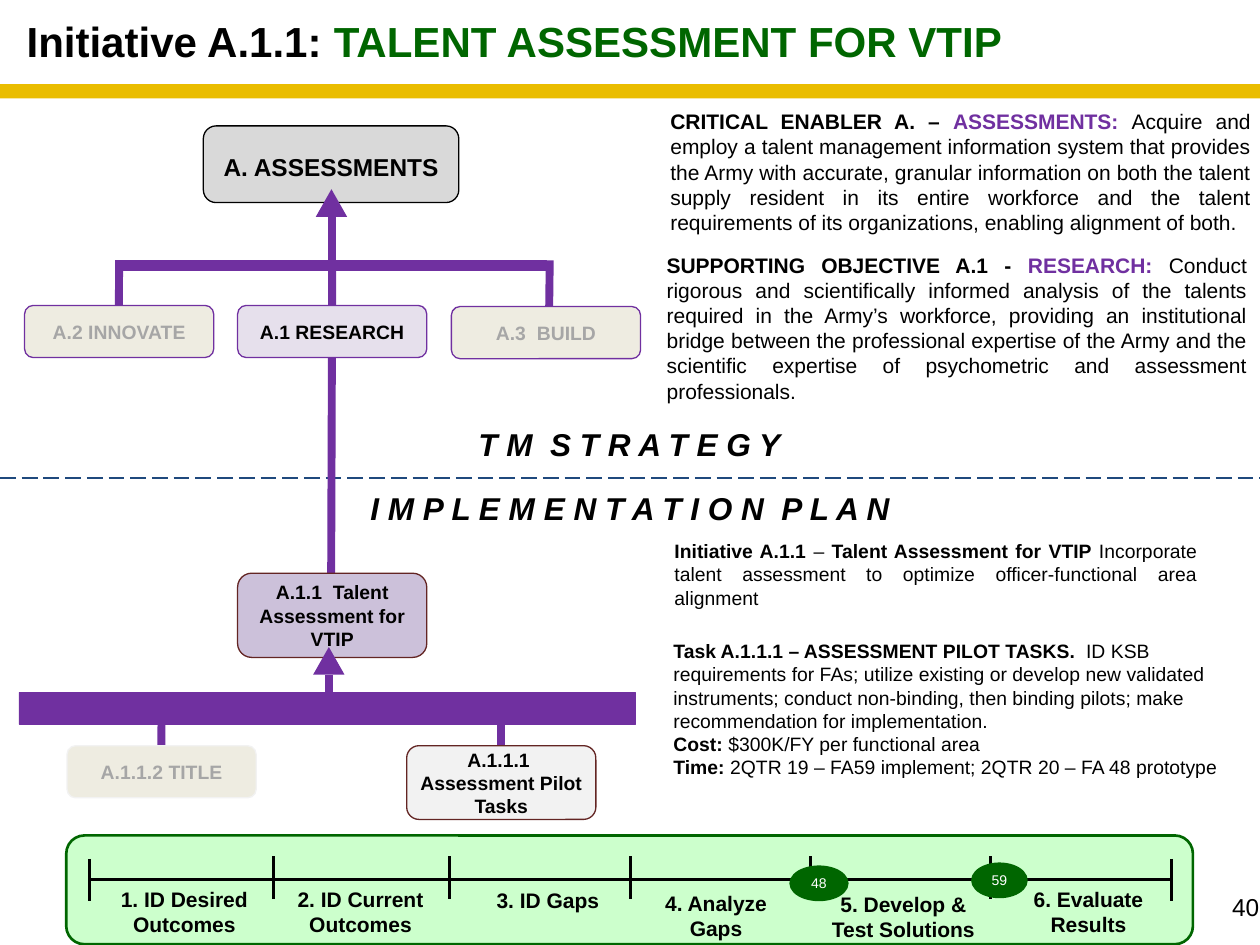
"""Build the talent assessment initiative slide."""
from dataclasses import dataclass

from lxml import etree
from pptx import Presentation
from pptx.dml.color import RGBColor
from pptx.enum.dml import MSO_LINE
from pptx.enum.shapes import MSO_CONNECTOR, MSO_SHAPE
from pptx.enum.text import MSO_ANCHOR, PP_ALIGN
from pptx.oxml.ns import qn
from pptx.util import Cm, Pt

RECT, ROUND = MSO_SHAPE.RECTANGLE, MSO_SHAPE.ROUNDED_RECTANGLE
OVAL, TRIANGLE = MSO_SHAPE.OVAL, MSO_SHAPE.ISOSCELES_TRIANGLE
STRAIGHT, DASH = MSO_CONNECTOR.STRAIGHT, MSO_LINE.LONG_DASH
TOP, MIDDLE = MSO_ANCHOR.TOP, MSO_ANCHOR.MIDDLE
LEFT, CENTER, RIGHT, JUSTIFY = PP_ALIGN.LEFT, PP_ALIGN.CENTER, PP_ALIGN.RIGHT, PP_ALIGN.JUSTIFY

WIDTH, HEIGHT = 33.83, 25.37
BLACK, WHITE, GRAY = "000000", "FFFFFF", "A6A6A6"
PURPLE, GREEN, BROWN, CREAM = "7030A0", "006600", "632523", "EEECE1"
NODE_W, NODE_H = 5.08, 1.4


@dataclass
class Run:
    text: str
    bold: bool = True
    color: str = BLACK


@dataclass
class Text:
    paragraphs: list[list[Run]]
    size: float
    align: int = CENTER
    anchor: int = TOP
    wrap: bool = True
    italic: bool = False
    spacing: float = 1.0
    margins: bool = True


@dataclass
class Box:
    left: float
    top: float
    width: float
    height: float
    text: Text | None = None
    kind: int | None = None
    fill: str = WHITE
    line: str | None = None
    weight: float = 1


@dataclass
class Rule:
    x1: float
    y1: float
    x2: float
    y2: float
    color: str = PURPLE
    weight: float = 6
    dash: int | None = None


def rgb(value: str) -> RGBColor:
    """Turn a hex string into a colour."""
    return RGBColor.from_string(value)


def write(tf, text: Text) -> None:
    """Fill a text frame with formatted paragraphs."""
    tf.word_wrap, tf.vertical_anchor = text.wrap, text.anchor
    if not text.margins:
        tf.margin_left = tf.margin_right = tf.margin_top = tf.margin_bottom = 0
    for i, runs in enumerate(text.paragraphs):
        p = tf.add_paragraph() if i else tf.paragraphs[0]
        p.alignment, p.line_spacing = text.align, text.spacing
        for run in runs:
            r = p.add_run()
            r.text = run.text
            style = {"name": "Arial", "size": Pt(text.size), "bold": run.bold, "italic": text.italic}
            for name, value in style.items():
                setattr(r.font, name, value)
            r.font.color.rgb = rgb(run.color)


def draw_box(s, box: Box) -> None:
    """Draw a shape, or a text box when no kind is given."""
    place = [Cm(v) for v in (box.left, box.top, box.width, box.height)]
    if box.kind is None:
        sp = s.shapes.add_textbox(*place)
    else:
        sp = s.shapes.add_shape(box.kind, *place)
        sp.shadow.inherit = False
        sp.fill.solid()
        sp.fill.fore_color.rgb = rgb(box.fill)
        if box.line:
            sp.line.color.rgb = rgb(box.line)
            sp.line.width = Pt(box.weight)
        else:
            sp.line.fill.background()
    if box.text:
        write(sp.text_frame, box.text)


def draw_rule(s, rule: Rule) -> None:
    """Draw a straight line without a shadow."""
    sp = s.shapes.add_connector(STRAIGHT, Cm(rule.x1), Cm(rule.y1), Cm(rule.x2), Cm(rule.y2))
    sp.line.color.rgb = rgb(rule.color)
    sp.line.width = Pt(rule.weight)
    if rule.dash is not None:
        sp.line.dash_style = rule.dash
    etree.SubElement(sp._element.spPr, qn("a:effectLst"))


def node(left: float, top: float, label: str, fill: str, line: str,
         color: str = BLACK, height: float = NODE_H) -> Box:
    """Describe one box of the hierarchy."""
    text = Text([[Run(label, color=color)]], 14.7, anchor=MIDDLE)
    return Box(left, top, NODE_W, height, text, ROUND, fill, line)


def heading(left: float, top: float, width: float, label: str) -> Box:
    """Describe a spaced italic section heading."""
    return Box(left, top, width, 1.27, Text([[Run(label)]], 24, wrap=False, italic=True))


def milestone(left: float, top: float, width: float, label: str) -> Box:
    """Describe a green oval on the timeline."""
    text = Text([[Run(label, False, WHITE)]], 10.7, anchor=MIDDLE, wrap=False)
    return Box(left, top, width, 0.89, text, OVAL, GREEN, GREEN, 2)


def step(left: float, top: float, width: float, *lines: str) -> Box:
    """Describe a timeline step label."""
    return Box(left, top, width, 1.57, Text([[Run(t)] for t in lines], 16))


TITLE = [Run("Initiative A.1.1: "), Run("TALENT ASSESSMENT FOR VTIP", color=GREEN)]
ENABLER = [Run("CRITICAL ENABLER A. – "), Run("ASSESSMENTS: ", color=PURPLE), Run(
    "Acquire and employ a talent management information system that provides the Army with "
    "accurate, granular information on both the talent supply resident in its entire workforce "
    "and the talent requirements of its organizations, enabling alignment of both.", False)]
OBJECTIVE = [Run("SUPPORTING OBJECTIVE A.1 - "), Run("RESEARCH: ", color=PURPLE), Run(
    "Conduct rigorous and scientifically informed analysis of the talents required in the Army’s "
    "workforce, providing an institutional bridge between the professional expertise of the Army "
    "and the scientific expertise of psychometric and assessment professionals.", False)]
INITIATIVE = [Run("Initiative A.1.1 "), Run("– ", False), Run("Talent Assessment for VTIP "), Run(
    "Incorporate talent assessment to optimize officer-functional area alignment", False)]
TASK = [
    [Run("Task A.1.1.1 – ASSESSMENT PILOT TASKS. "), Run(
        " ID KSB requirements for FAs; utilize existing or develop new validated instruments; "
        "conduct non-binding, then binding pilots; make recommendation for implementation.", False)],
    [Run("Cost: "), Run("$300K/FY per functional area", False)],
    [Run("Time: "), Run("2QTR 19 – FA59 implement; 2QTR 20 – FA 48 prototype", False)],
]

ITEMS = [
    Box(5.46, 3.38, 6.86, 2.06, Text([[Run("A. ASSESSMENTS")]], 18.6, anchor=MIDDLE, spacing=1.14),
        ROUND, "D9D9D9", BLACK),
    Rule(0, 12.83, WIDTH, 12.83, "1F497D", 1.5, DASH),
    Box(0.36, 0.3, 26.92, 1.63, Text([TITLE], 32, wrap=False)),
    heading(12.57, 11.28, 8.66, "T M  S T R A T E G Y"),
    heading(9.65, 13, 14.53, "I M P L E M E N T A T I O N  P L A N"),
    Box(17.75, 2.77, 16.08, 3.68, Text([ENABLER], 16, JUSTIFY, MIDDLE)),
    Rule(8.92, 6.99, 8.89, 15.8),
    node(6.38, 15.39, "A.1.1  Talent Assessment for VTIP", "CCC1DA", BROWN, height=2.26),
    Box(17.86, 14.35, 14.53, 2.13, Text([INITIATIVE], 14.7, JUSTIFY, MIDDLE)),
    Rule(14.76, 6.99, 14.73, 9.47),
    Box(3.1, 6.99, 11.56, 0.28, None, RECT, PURPLE, PURPLE, 0.5),
    Box(8.48, 5.08, 0.84, 0.74, None, TRIANGLE, PURPLE),
    Rule(3.2, 6.99, 3.18, 9.47),
    Rule(8.92, 5.49, 8.92, 8.31),
    node(12.12, 8.23, "A.3  BUILD", CREAM, PURPLE, GRAY),
    node(0.66, 8.2, "A.2 INNOVATE", CREAM, PURPLE, GRAY),
    Box(17.65, 6.63, 16.08, 4.34, Text([OBJECTIVE], 16, JUSTIFY, MIDDLE)),
    node(6.38, 8.2, "A.1 RESEARCH", "E6E0EC", PURPLE),
    Rule(8.84, 18.11, 8.84, 19.08),
    Rule(13.46, 18.85, 13.46, 21.36),
    Rule(4.34, 18.85, 4.32, 21.36),
    Box(0.51, 18.59, 16.54, 0.86, None, RECT, PURPLE, PURPLE, 0.5),
    node(10.92, 20.02, "A.1.1.1  Assessment Pilot Tasks", "F2F2F2", BROWN, height=1.98),
    Box(17.83, 17.04, 15.6, 3.99, Text(TASK, 14.7, LEFT)),
    Box(8.41, 17.37, 0.84, 0.74, None, TRIANGLE, PURPLE),
    node(1.8, 20.02, "A.1.1.2 TITLE", CREAM, "F2F2F2", GRAY),
    Box(32.41, 23.95, 1.4, 1.35, Text([[Run("40", False)]], 18.6, RIGHT, wrap=False, margins=False)),
    Box(1.78, 22.43, 30.25, 2.92, None, ROUND, "CCFFCC", GREEN, 2),
    Rule(2.39, 23.62, 31.45, 23.62, BLACK, 2.25),
    *[Rule(x, 23.06, x, 24.18, BLACK, 2.25) for x in (2.41, 31.45)],
    *[Rule(x, 22.99, x, 24.13, BLACK, 2.25) for x in (7.34, 12.07, 16.92, 21.77, 26.59)],
    step(2.84, 23.67, 4.22, "1. ID Desired Outcomes"),
    step(7.57, 23.67, 4.22, "2. ID Current Outcomes"),
    step(12.6, 23.7, 4.22, "3. ID Gaps"),
    step(21.84, 23.8, 4.83, "5. Develop & Test Solutions"),
    step(16.81, 23.77, 4.83, "4. Analyze", "Gaps"),
    step(26.57, 23.67, 5.31, "6. Evaluate", "Results"),
    milestone(26.11, 23.19, 1.45, "59"),
    milestone(21.23, 23.27, 1.52, "48"),
    Box(0, 2.26, WIDTH, 0.38, None, RECT, "EABD00"),
]


def main() -> None:
    """Draw every item and save the deck."""
    prs = Presentation()
    prs.slide_width, prs.slide_height = Cm(WIDTH), Cm(HEIGHT)
    s = prs.slides.add_slide(prs.slide_layouts[6])
    for item in ITEMS:
        if isinstance(item, Box):
            draw_box(s, item)
        else:
            draw_rule(s, item)
    prs.save("out.pptx")


if __name__ == "__main__":
    main()
